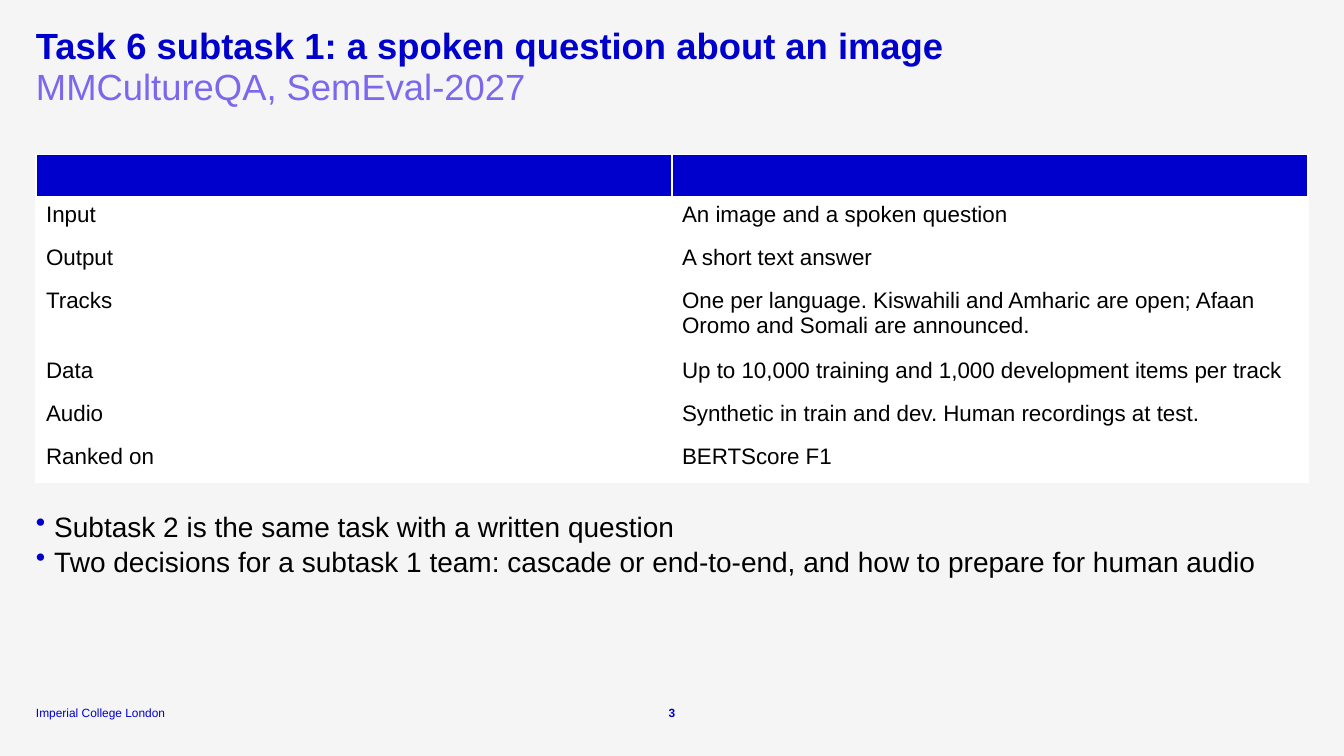
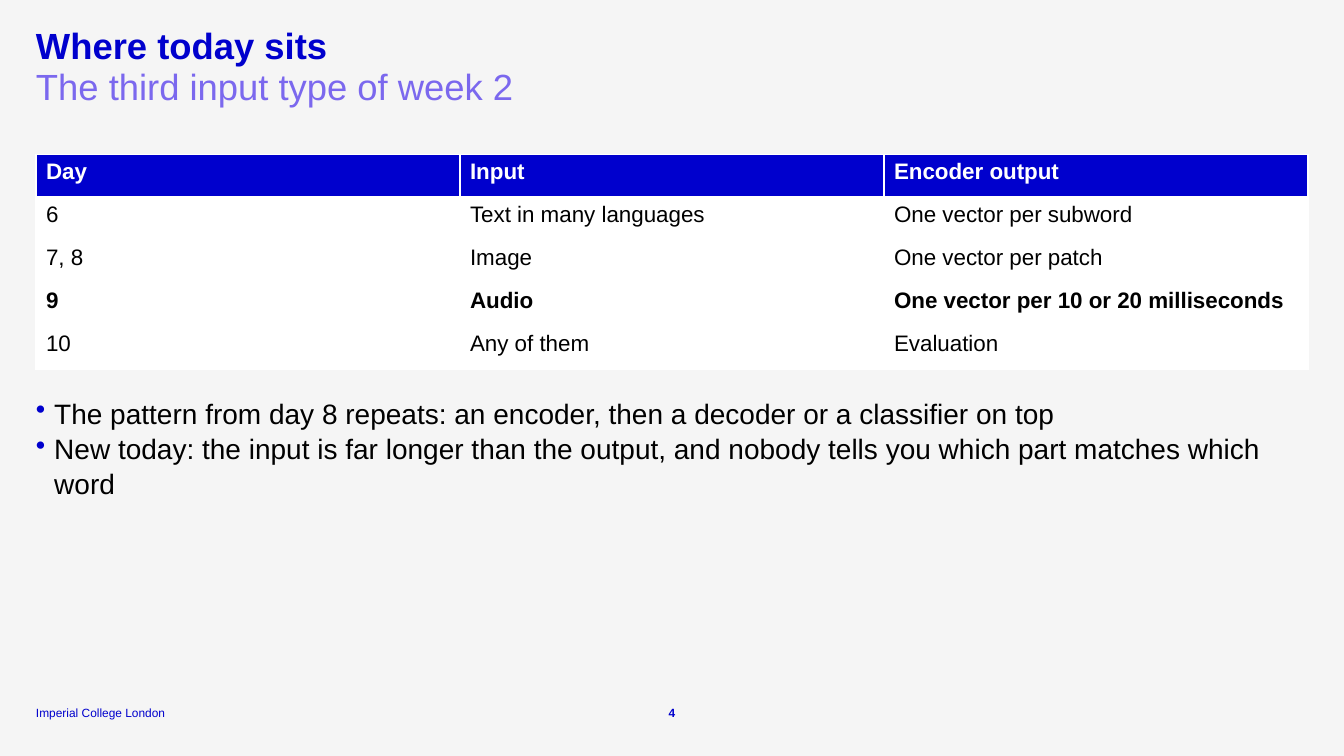
import pptx
import pptx.util
import pptx.dml.color
import pptx.enum.text
import pptx.oxml
import pptx.oxml.ns
from dataclasses import dataclass

Pt = pptx.util.Pt
ALIGN = pptx.enum.text.PP_ALIGN
ANCHOR = pptx.enum.text.MSO_ANCHOR

# Content
FOOTER = "Imperial College London"
SLIDES = [
    {
        "number": 3,
        "title": "Task 6 subtask 1: a spoken question about an image",
        "subtitle": "MMCultureQA, SemEval-2027",
        "rows": [
            ("", ""),
            ("Input", "An image and a spoken question"),
            ("Output", "A short text answer"),
            ("Tracks", "One per language. Kiswahili and Amharic are open; "
                       "Afaan Oromo and Somali are announced."),
            ("Data", "Up to 10,000 training and 1,000 development items per track"),
            ("Audio", "Synthetic in train and dev. Human recordings at test."),
            ("Ranked on", "BERTScore F1"),
        ],
        "two_line_rows": {3},
        "bold_rows": set(),
        "points": [
            "Subtask 2 is the same task with a written question",
            "Two decisions for a subtask 1 team: cascade or end-to-end, "
            "and how to prepare for human audio",
        ],
        "points_height": 71,
    },
    {
        "number": 4,
        "title": "Where today sits",
        "subtitle": "The third input type of week 2",
        "rows": [
            ("Day", "Input", "Encoder output"),
            ("6", "Text in many languages", "One vector per subword"),
            ("7, 8", "Image", "One vector per patch"),
            ("9", "Audio", "One vector per 10 or 20 milliseconds"),
            ("10", "Any of them", "Evaluation"),
        ],
        "two_line_rows": set(),
        "bold_rows": {3},
        "points": [
            "The pattern from day 8 repeats: an encoder, then a decoder "
            "or a classifier on top",
            "New today: the input is far longer than the output, "
            "and nobody tells you which part matches which word",
        ],
        "points_height": 97,
    },
]


# Look
@dataclass(frozen=True)
class Theme:
    font: str = "Arial"
    background: str = "F5F5F5"
    primary: str = "0000CD"
    secondary: str = "7B68EE"
    ink: str = "000000"
    white: str = "FFFFFF"
    heading_size: float = 26
    points_size: float = 20
    table_size: float = 16
    footer_size: float = 8.5


THEME = Theme()

# Layout, in points
SLIDE_W, SLIDE_H = 960, 540
MARGIN = 25.7
CONTENT_W = SLIDE_W - 2 * MARGIN
TITLE_TOP, HEADING_H = 20, 29.2
TABLE_TOP, ROW_H, TWO_LINE_ROW_H = 110.4, 30.7, 49.8
TABLE_GAP = 18
BULLET_INDENT = 13
FOOTER_TOP, FOOTER_H = 503.3, 10.8
FOOTER_W, NUMBER_W = 112, 25


def rgb(color):
    return pptx.dml.color.RGBColor.from_string(color)


def style(paragraph, size, color, bold=False, align=ALIGN.LEFT, spacing=None):
    paragraph.alignment = align
    if spacing:
        paragraph.line_spacing = spacing
    for run in paragraph.runs:
        run.font.name = THEME.font
        run.font.size = Pt(size)
        run.font.bold = bold
        run.font.color.rgb = rgb(color)


def place(shape, left, top, width, height, text, anchor=ANCHOR.TOP):
    """Position a text shape, strip its insets and fill in its text."""
    shape.left, shape.top, shape.width, shape.height = map(Pt, (left, top, width, height))
    frame = shape.text_frame
    frame.word_wrap = True
    frame.auto_size = pptx.enum.text.MSO_AUTO_SIZE.NONE
    frame.vertical_anchor = anchor
    frame.margin_left = frame.margin_top = frame.margin_right = frame.margin_bottom = 0
    frame.text = text
    return frame.paragraphs


def text_box(slide, *box, **options):
    return place(slide.shapes.add_textbox(0, 0, 0, 0), *box, **options)


def add_xml(parent, xml):
    declared = xml.replace(" ", f" {pptx.oxml.ns.nsdecls('a')} ", 1)
    parent.append(pptx.oxml.parse_xml(declared))


def set_bullet(paragraph):
    props = paragraph._p.get_or_add_pPr()
    props.set("marL", str(Pt(BULLET_INDENT)))
    props.set("indent", str(-Pt(BULLET_INDENT)))
    add_xml(props, f'<a:buClr ><a:srgbClr val="{THEME.primary}"/></a:buClr>')
    add_xml(props, '<a:buChar char="•"/>')


def set_borders(cell, top, bottom):
    for side, width in (("L", 1), ("R", 1), ("T", top), ("B", bottom)):
        add_xml(cell._tc.get_or_add_tcPr(),
                f'<a:ln{side} w="{Pt(width)}"><a:solidFill>'
                f'<a:srgbClr val="{THEME.white}"/></a:solidFill></a:ln{side}>')


def add_headings(slide, title, subtitle):
    heading, = place(slide.shapes.title, MARGIN, TITLE_TOP, CONTENT_W, HEADING_H, title)
    style(heading, THEME.heading_size, THEME.primary, bold=True, spacing=0.9)
    subheading, = text_box(slide, MARGIN, TITLE_TOP + HEADING_H, CONTENT_W,
                           HEADING_H, subtitle)
    style(subheading, THEME.heading_size, THEME.secondary, spacing=0.9)


def add_fact_table(slide, rows, two_line_rows, bold_rows):
    """Add the table and return its bottom edge."""
    heights = [TWO_LINE_ROW_H if i in two_line_rows else ROW_H for i in range(len(rows))]
    columns = len(rows[0])
    facts = slide.shapes.add_table(len(rows), columns, Pt(MARGIN), Pt(TABLE_TOP),
                                   Pt(CONTENT_W), Pt(sum(heights))).table
    facts.horz_banding = False
    for column in facts.columns:
        column.width = Pt(CONTENT_W / columns)
    for i, (row, height) in enumerate(zip(rows, heights)):
        facts.rows[i].height = Pt(height)
        header = i == 0
        for j, text in enumerate(row):
            cell = facts.cell(i, j)
            set_borders(cell, top=3 if i == 1 else 1, bottom=3 if header else 1)
            cell.fill.solid()
            cell.fill.fore_color.rgb = rgb(THEME.primary if header else THEME.white)
            cell.text_frame.text = text
            style(cell.text_frame.paragraphs[0], THEME.table_size,
                  THEME.white if header else THEME.ink,
                  bold=header or i in bold_rows)
    return TABLE_TOP + sum(heights)


def add_points(slide, points, top, height):
    for paragraph in text_box(slide, MARGIN, top, CONTENT_W, height, "\n".join(points)):
        set_bullet(paragraph)
        style(paragraph, THEME.points_size, THEME.ink, spacing=1.05)


def add_footer(slide, number):
    college, = text_box(slide, MARGIN, FOOTER_TOP, FOOTER_W, FOOTER_H, FOOTER,
                        anchor=ANCHOR.BOTTOM)
    style(college, THEME.footer_size, THEME.primary)
    page, = text_box(slide, (SLIDE_W - NUMBER_W) / 2, FOOTER_TOP, NUMBER_W, FOOTER_H,
                     str(number), anchor=ANCHOR.BOTTOM)
    style(page, THEME.footer_size, THEME.primary, bold=True, align=ALIGN.CENTER)


def main():
    deck = pptx.Presentation()
    deck.slide_width, deck.slide_height = Pt(SLIDE_W), Pt(SLIDE_H)
    backdrop = deck.slide_master.background.fill
    backdrop.solid()
    backdrop.fore_color.rgb = rgb(THEME.background)
    title_only = deck.slide_layouts.get_by_name("Title Only")

    for content in SLIDES:
        slide = deck.slides.add_slide(title_only)
        add_headings(slide, content["title"], content["subtitle"])
        table_bottom = add_fact_table(slide, content["rows"], content["two_line_rows"],
                                      content["bold_rows"])
        add_points(slide, content["points"], table_bottom + TABLE_GAP,
                   content["points_height"])
        add_footer(slide, content["number"])

    deck.save("out.pptx")


if __name__ == "__main__":
    main()
